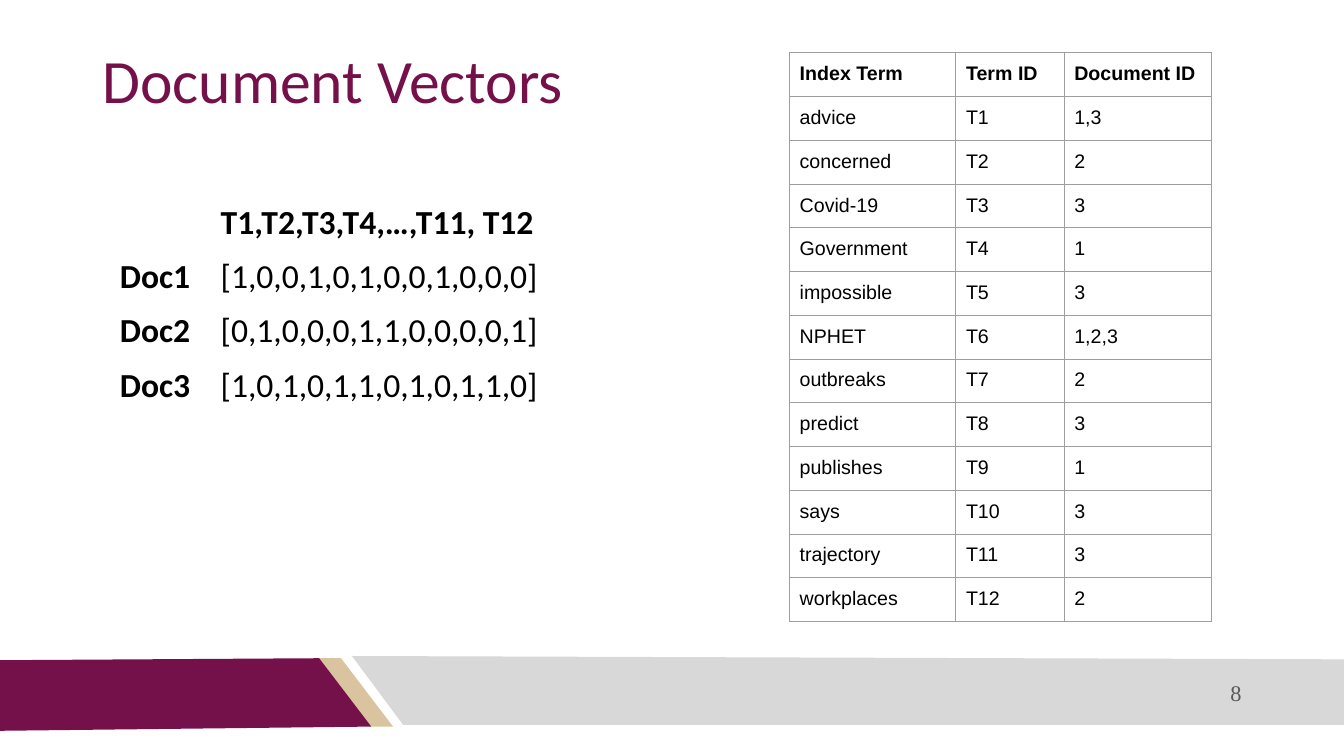
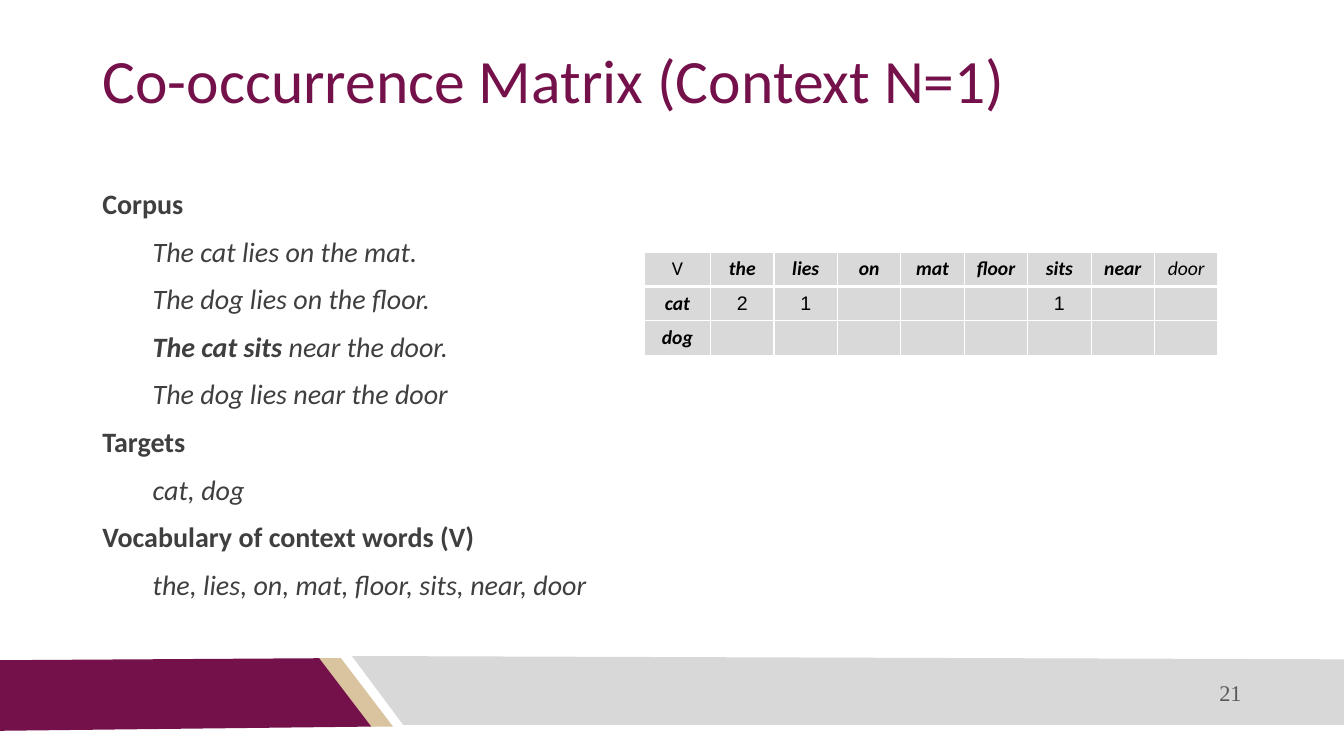
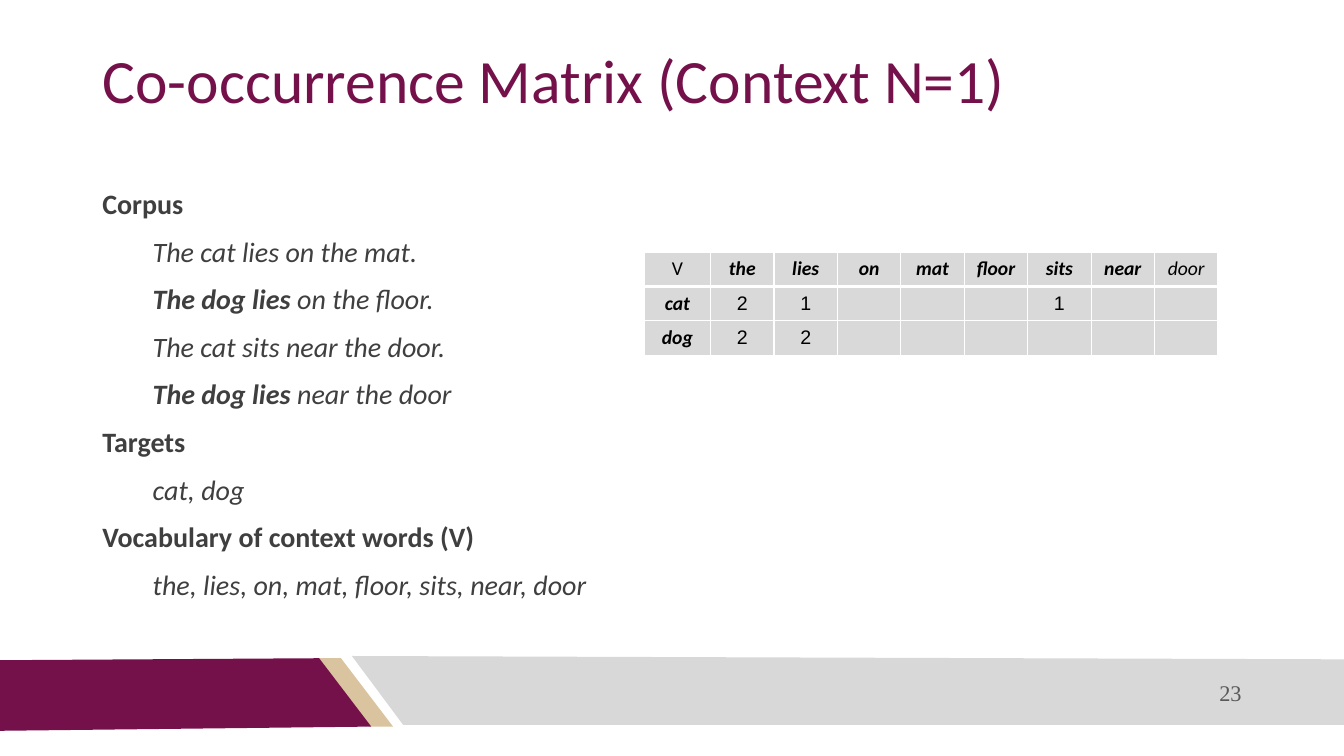
import lxml.etree
import pptx
import pptx.dml.color
import pptx.enum.text
import pptx.oxml.ns
import pptx.util

RGBColor = pptx.dml.color.RGBColor
PLUM = RGBColor(0x75, 0x11, 0x4A)
SAND = RGBColor(0xD9, 0xC4, 0x9F)
SILVER = RGBColor(0xD8, 0xD8, 0xD8)
CELL_GREY = RGBColor(0xD9, 0xD9, 0xD9)
RULE_GREY = RGBColor(0x9E, 0x9E, 0x9E)
PAGE_GREY = RGBColor(0x59, 0x59, 0x59)
BODY_GREY = RGBColor(0x3F, 0x3F, 0x3F)
BLACK = RGBColor(0, 0, 0)
WHITE = RGBColor(0xFF, 0xFF, 0xFF)

COLS, ROWS = 160, 90
UNIT = pptx.util.Inches(1) / 12

ALIGN = pptx.enum.text.PP_ALIGN
ANCHOR = pptx.enum.text.MSO_ANCHOR
qn = pptx.oxml.ns.qn
Pt = pptx.util.Pt

TITLE = dict(name="Calibri", size=Pt(44), color=PLUM)
PAGE = dict(name="Times New Roman", size=Pt(16), color=PAGE_GREY)
VECTOR = dict(name="Calibri", size=Pt(24), color=BLACK)
BODY = dict(name="Calibri", size=Pt(20), color=BODY_GREY)
INDEX = dict(name="Arial", size=Pt(14), color=BLACK)
WORD = dict(name="Calibri", size=Pt(14), color=BLACK)
BOLD = dict(bold=True)
ITALIC = dict(italic=True)

TITLE_BOX = (11, 4.8, 138, 17.4)
BODY_BOX = (11, 21, 138, 53.3)
VECTOR_BOX = (13.1, 23.3, 54, 24)
INDEX_BOX = (94, 6.3, 50.2, 67.4)
MATRIX_BOX = (76.7, 30, 68.3, 12.3)
BAND_BOX = (0, 78, COLS, 9)

BANDS = [
    (SAND, [(37.9, 0.36), (40.6, 0.36), (46.8, 8.5), (44, 8.5)]),
    (PLUM, [(0, 0.6), (38, 0.36), (44.2, 8.5), (0, 9)]),
    (SILVER, [(COLS, 8.3), (48, 8.3), (41.9, 0.1), (COLS, 0.5)]),
]

INDEX_TERMS = [
    ("advice", "1,3"), ("concerned", "2"), ("Covid-19", "3"),
    ("Government", "1"), ("impossible", "3"), ("NPHET", "1,2,3"),
    ("outbreaks", "2"), ("predict", "3"), ("publishes", "1"),
    ("says", "3"), ("trajectory", "3"), ("workplaces", "2"),
]
VECTORS = [
    ("Doc1", "[1,0,0,1,0,1,0,0,1,0,0,0]"),
    ("Doc2", "[0,1,0,0,0,1,1,0,0,0,0,1]"),
    ("Doc3", "[1,0,1,0,1,1,0,1,0,1,1,0]"),
]
CORPUS = [
    "The cat lies on the mat.",
    "The dog lies on the floor.",
    "The cat sits near the door.",
    "The dog lies near the door",
]
VOCABULARY = ["the", "lies", "on", "mat", "floor", "sits", "near", "door"]
CO_OCCURRENCES = [
    (21, "The cat sits", {"cat": {"the": 2, "lies": 1, "sits": 1}, "dog": {}}),
    (23, "The dog lies", {"cat": {"the": 2, "lies": 1, "sits": 1},
                          "dog": {"the": 2, "lies": 2}}),
]


def grid(*cells):
    return [round(c * UNIT) for c in cells]


def put(p, text, style, **extra):
    r = p.add_run()
    r.text = text
    for key, value in {**style, **extra}.items():
        if key == "color":
            r.font.color.rgb = value
        else:
            setattr(r.font, key, value)


def inset(obj, x, y):
    for side, value in dict(left=x, right=x, top=y, bottom=y).items():
        setattr(obj, "margin_" + side, pptx.util.Inches(value))


def text_frame(s, box, y_inset=0.05):
    tf = s.shapes.add_textbox(*grid(*box)).text_frame
    tf.word_wrap = True
    inset(tf, 0.1, y_inset)
    return tf


def next_paragraph(tf, indent=0):
    first = not tf.paragraphs[0].runs
    p = tf.paragraphs[0] if first else tf.add_paragraph()
    if not first:
        p.space_before = Pt(10)
    pPr = p._p.get_or_add_pPr()
    pPr.set("marL", str(pptx.util.Inches(indent)))
    pPr.set("indent", "0")
    return p


def add_bands(s, layout, box):
    left, top = box[:2]
    for color, points in BANDS:
        pts = [grid(left + x, top + y) for x, y in points]
        fb = s.shapes.build_freeform(*pts[0])
        fb.add_line_segments(pts[1:])
        sp = fb.convert_to_shape()
        sp.shadow.inherit = False
        sp.fill.solid()
        sp.fill.fore_color.rgb = color
        sp.line.fill.background()
        layout.shapes.element.append(sp.element)


def add_slide(prs, title, number):
    s = prs.slides.add_slide(prs.slide_layouts[5])
    sp = s.shapes.title
    sp.left, sp.top, sp.width, sp.height = grid(*TITLE_BOX)
    tf = sp.text_frame
    tf.auto_size = pptx.enum.text.MSO_AUTO_SIZE.NONE
    tf.vertical_anchor = ANCHOR.TOP
    inset(tf, 0.1, 0.1)
    p = tf.paragraphs[0]
    p.alignment = ALIGN.LEFT
    p.line_spacing = 0.9
    put(p, title, TITLE)
    left, top = BAND_BOX[:2]
    p = text_frame(s, (left + 95, top + 2.3, 54, 4.8)).paragraphs[0]
    p.alignment = ALIGN.RIGHT
    put(p, str(number), PAGE)
    return s


def set_borders(cell, color, widths):
    tcPr = cell._tc.get_or_add_tcPr()
    for side, width in zip("LRTB", widths):
        ln = lxml.etree.SubElement(tcPr, qn("a:ln" + side), w=str(Pt(width)))
        fill = lxml.etree.SubElement(ln, qn("a:solidFill"))
        lxml.etree.SubElement(fill, qn("a:srgbClr"), val=str(color))


def add_grid_table(s, box, widths, heights):
    table = s.shapes.add_table(len(heights), len(widths), *grid(*box)).table
    table.first_row = table.horz_banding = False
    for col, width in zip(table.columns, grid(*widths)):
        col.width = width
    for row, height in zip(table.rows, grid(*heights)):
        row.height = height
    return table


def add_index_table(s, box):
    rows = [("Index Term", "Term ID", "Document ID")]
    rows += [(term, f"T{i}", docs)
             for i, (term, docs) in enumerate(INDEX_TERMS, 1)]
    table = add_grid_table(s, box, [19.8, 12.9, 17.5],
                           [5] + [5.2] * len(INDEX_TERMS))
    for i, row in enumerate(rows):
        for j, text in enumerate(row):
            cell = table.cell(i, j)
            inset(cell, 0.1, 0.1)
            set_borders(cell, RULE_GREY, [0.75] * 4)
            cell.fill.background()
            put(cell.text_frame.paragraphs[0], text, INDEX, bold=i == 0)


def add_vectors(s, box):
    tf = text_frame(s, box)
    put(next_paragraph(tf, 1), "T1,T2,T3,T4,…,T11, T12", VECTOR, **BOLD)
    for doc, vector in VECTORS:
        p = next_paragraph(tf)
        tabs = lxml.etree.SubElement(p._p.get_or_add_pPr(), qn("a:tabLst"))
        lxml.etree.SubElement(tabs, qn("a:tab"),
                              pos=str(pptx.util.Inches(1)), algn="l")
        put(p, doc, VECTOR, **BOLD)
        put(p, "\t" + vector, VECTOR)


def add_corpus(s, box, window):
    sections = [
        ("Corpus", CORPUS),
        ("Targets", ["cat, dog"]),
        ("Vocabulary of context words (V)", [", ".join(VOCABULARY)]),
    ]
    tf = text_frame(s, box, 0.1)
    for heading, lines in sections:
        put(next_paragraph(tf), heading, BODY, **BOLD)
        for line in lines:
            p = next_paragraph(tf, 0.5)
            if line.startswith(window):
                put(p, window, BODY, **BOLD, **ITALIC)
                line = line[len(window):]
            put(p, line, BODY, **ITALIC)


def matrix_style(i, j):
    if i and j:
        return INDEX
    if i == j:
        return WORD
    return {**WORD, **ITALIC, "bold": j < len(VOCABULARY)}


def add_matrix(s, box, counts):
    rows = [["V"] + VOCABULARY]
    rows += [[target] + [str(found.get(word, "")) for word in VOCABULARY]
             for target, found in counts.items()]
    table = add_grid_table(s, box, [7.9] + [7.55] * len(VOCABULARY),
                           [4.1] * len(rows))
    for i, row in enumerate(rows):
        for j, text in enumerate(row):
            cell = table.cell(i, j)
            inset(cell, 0.1, 0.05)
            cell.vertical_anchor = ANCHOR.MIDDLE
            set_borders(cell, WHITE, [1, 1, 3 if i == 1 else 1,
                                      3 if i == 0 else 1])
            cell.fill.solid()
            cell.fill.fore_color.rgb = CELL_GREY
            p = cell.text_frame.paragraphs[0]
            p.alignment = ALIGN.CENTER
            if text:
                put(p, text, matrix_style(i, j))
            else:
                lxml.etree.SubElement(p._p, qn("a:endParaRPr"), sz="1400")


def main():
    prs = pptx.Presentation()
    prs.slide_width, prs.slide_height = grid(COLS, ROWS)
    s = add_slide(prs, "Document Vectors", 8)
    add_bands(s, s.slide_layout, BAND_BOX)
    add_index_table(s, INDEX_BOX)
    add_vectors(s, VECTOR_BOX)
    for number, window, counts in CO_OCCURRENCES:
        s = add_slide(prs, "Co-occurrence Matrix (Context N=1)", number)
        add_corpus(s, BODY_BOX, window)
        add_matrix(s, MATRIX_BOX, counts)
    prs.save("out.pptx")


if __name__ == "__main__":
    main()
